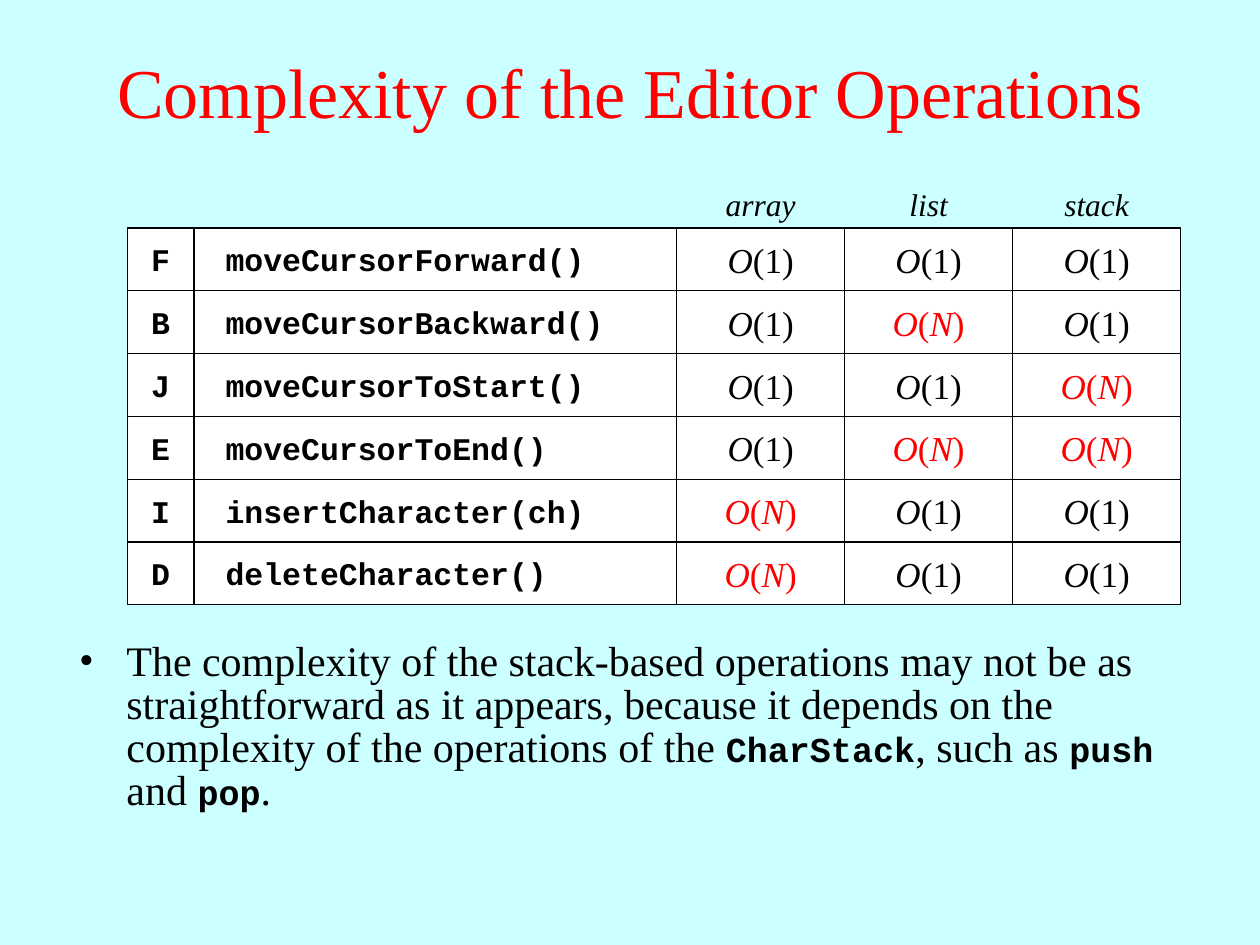
from dataclasses import dataclass

from lxml import etree
from pptx import Presentation
from pptx.dml.color import RGBColor
from pptx.enum import shapes as s, text as t
from pptx.oxml import ns
from pptx.util import Inches, Pt


@dataclass(frozen=True)
class Theme:
    back: str = "CCFFFF"
    cell: str = "FFFFFF"
    ink: str = "000000"
    alert: str = "FF0000"
    serif: str = "Times New Roman"
    mono: str = "Courier New"
    title: int = 40
    body: int = 24
    cost: int = 20
    label: int = 18
    rule: float = 0.75


THEME = Theme()
CODE = dict(face=THEME.mono, size=THEME.cost, bold=True)

LEFT, TOP, ROW = 1.01, 1.81, 2.99 / 6
WIDTHS = [0.53, 3.83] + [4 / 3] * 3
HEADS = ["array", "list", "stack"]
ROWS = [
    ("F", "moveCursorForward()", "1", "1", "1"),
    ("B", "moveCursorBackward()", "1", "N", "1"),
    ("J", "moveCursorToStart()", "1", "1", "N"),
    ("E", "moveCursorToEnd()", "1", "N", "N"),
    ("I", "insertCharacter(ch)", "N", "1", "1"),
    ("D", "deleteCharacter()", "N", "1", "1"),
]
NOTE = [
    ("The complexity of the stack-based operations may not be as "
     "straightforward as it appears, because it depends on the "
     "complexity of the operations of the ", {}),
    ("CharStack", CODE), (", such as ", {}), ("push", CODE),
    (" and ", {}), ("pop", CODE), (".", {}),
]


def style(font, size=THEME.body, color=THEME.ink, bold=False,
          italic=False, face=THEME.serif):
    font.name, font.size = face, Pt(size)
    font.bold, font.italic = bold, italic
    font.color.rgb = RGBColor.from_string(color)


def write(frame, parts, center=False, **base):
    """Fill the first paragraph; parts is a string or (string, format) pairs."""
    para = frame.paragraphs[0]
    para.alignment = t.PP_ALIGN.CENTER if center else t.PP_ALIGN.LEFT
    for words, extra in [(parts, {})] if isinstance(parts, str) else parts:
        run = para.add_run()
        run.text = words
        style(run.font, **{**base, **extra})
    return para


def add_box(slide, *place):
    box = slide.shapes.add_textbox(*map(Inches, place))
    box.text_frame.word_wrap = True
    return box.text_frame


def add_cell(slide, *place):
    cell = slide.shapes.add_shape(s.MSO_SHAPE.RECTANGLE, *map(Inches, place))
    cell.shadow.inherit = False
    cell.fill.solid()
    cell.fill.fore_color.rgb = RGBColor.from_string(THEME.cell)
    cell.line.color.rgb = RGBColor.from_string(THEME.ink)
    cell.line.width = Pt(THEME.rule)
    frame = cell.text_frame
    frame.word_wrap = True
    frame.vertical_anchor = t.MSO_ANCHOR.MIDDLE
    return frame


def add_bullet(para, indent):
    props = para._p.get_or_add_pPr()
    props.set("marL", str(Inches(indent)))
    props.set("indent", str(-Inches(indent)))
    etree.SubElement(props, ns.qn("a:buFont"), typeface=THEME.serif)
    etree.SubElement(props, ns.qn("a:buChar"), char="•")


def write_cost(frame, arg):
    slow = arg == "N"
    parts = [("O", dict(italic=True))]
    if slow:
        parts += [("(", {}), (arg, dict(italic=True)), (")", {})]
    else:
        parts.append((f"({arg})", {}))
    write(frame, parts, center=True, size=THEME.cost,
          color=THEME.alert if slow else THEME.ink)


def add_grid(slide):
    for c, width in enumerate(WIDTHS):
        left = LEFT + sum(WIDTHS[:c])
        for r, row in enumerate(ROWS):
            frame = add_cell(slide, left, TOP + r * ROW, width, ROW)
            if c > 1:
                write_cost(frame, row[c])
                continue
            if c == 1:
                frame.margin_left = Inches(0.25)
            write(frame, row[c], center=c == 0, face=THEME.mono,
                  size=THEME.label, bold=True)


def add_heads(slide):
    for i, head in enumerate(HEADS, start=2):
        frame = add_box(slide, LEFT + sum(WIDTHS[:i]), 1.42, WIDTHS[i], 0.4)
        write(frame, head, center=True, size=THEME.label, italic=True)


def add_title(slide):
    frame = add_box(slide, 0, 0.09, 10, 1.25)
    frame.vertical_anchor = t.MSO_ANCHOR.MIDDLE
    write(frame, "Complexity of the Editor Operations", center=True,
          size=THEME.title, color=THEME.alert)


def add_note(slide):
    para = write(add_box(slide, 0.53, 5.05, 8.93, 1.53), NOTE)
    para.line_spacing = 0.85
    para.space_after = Pt(12)
    add_bullet(para, 3 / 8)


def main():
    deck = Presentation()
    deck.slide_width, deck.slide_height = Inches(10), Inches(7.5)
    slide = deck.slides.add_slide(deck.slide_layouts[6])
    slide.background.fill.solid()
    slide.background.fill.fore_color.rgb = RGBColor.from_string(THEME.back)
    add_title(slide)
    add_grid(slide)
    add_heads(slide)
    add_note(slide)
    deck.save("out.pptx")


if __name__ == "__main__":
    main()
